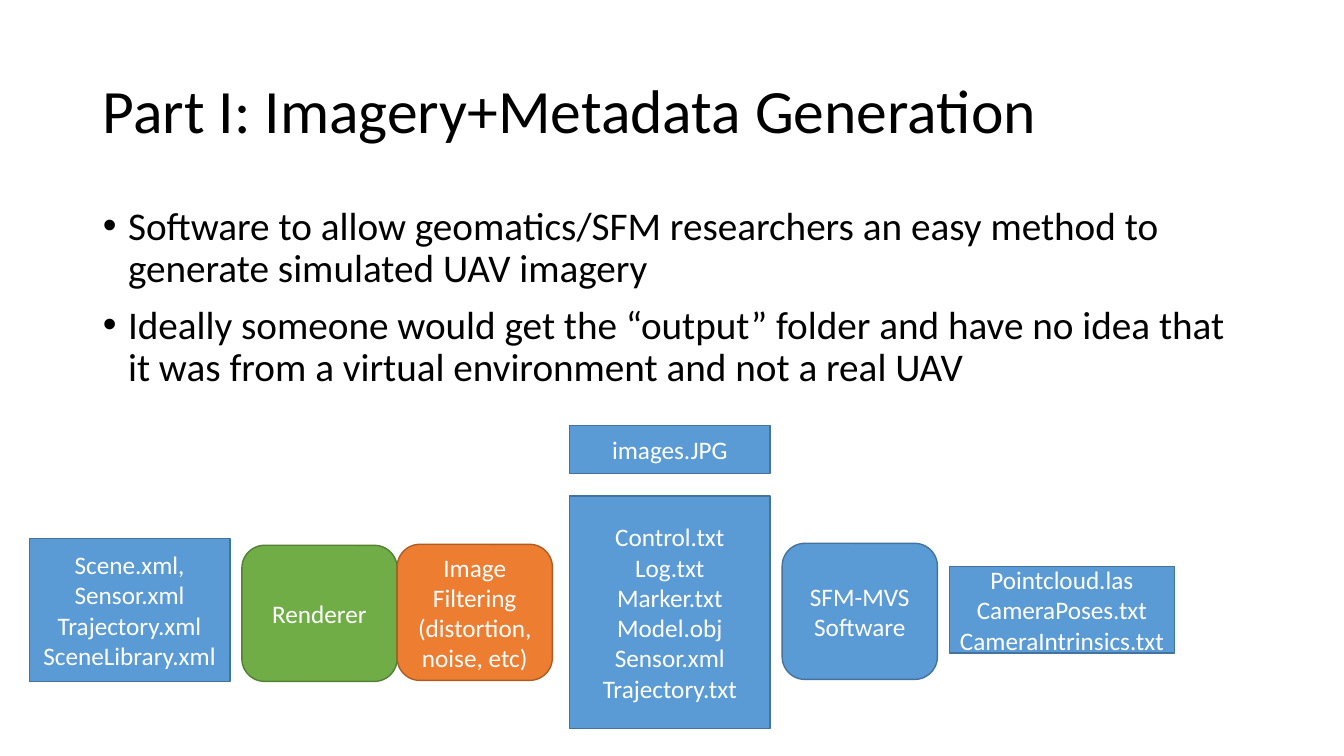
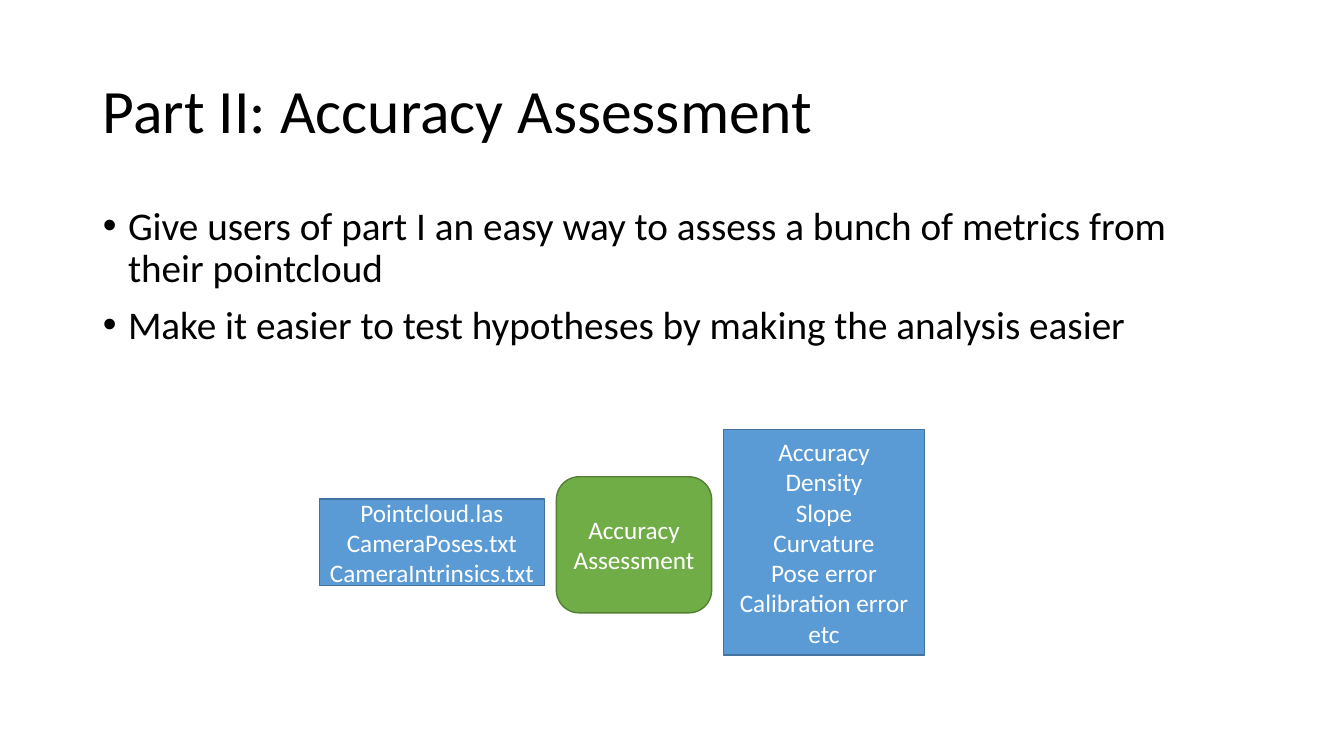
from pptx import Presentation
from pptx.dml.color import RGBColor
from pptx.enum.shapes import MSO_SHAPE
from pptx.enum.text import MSO_ANCHOR, MSO_AUTO_SIZE, PP_ALIGN
from pptx.util import Inches, Pt

FONT = "Calibri"
BLACK = RGBColor(0x00, 0x00, 0x00)
WHITE = RGBColor(0xFF, 0xFF, 0xFF)
# Each box style is a pair of fill and outline
BLUE = RGBColor(0x5B, 0x9B, 0xD5), RGBColor(0x43, 0x73, 0x9E)
GREEN = RGBColor(0x70, 0xAD, 0x47), RGBColor(0x53, 0x80, 0x35)
ORANGE = RGBColor(0xED, 0x7D, 0x31), RGBColor(0xAF, 0x5C, 0x24)

# Grid of square cells: ten columns or rows to the inch
COLUMNS, ROWS = 133.33, 75
FILE_WIDTH, RESULT_WIDTH = 19.9, 22.3
STEP_SIZE = 15.4, 13.5
GAP = 1.2


def cells(count):
    return Inches(count / 10)


def write(frame, text, size=18, color=WHITE, align=PP_ALIGN.CENTER,
          anchor=MSO_ANCHOR.MIDDLE, line_spacing=None, space_before=0, hanging=0):
    """Fill a text frame with one paragraph for each line of text."""
    frame.word_wrap = True
    frame.auto_size = MSO_AUTO_SIZE.NONE
    frame.vertical_anchor = anchor
    for index, line in enumerate(text.split("\n")):
        paragraph = frame.add_paragraph() if index else frame.paragraphs[0]
        paragraph.alignment = align
        paragraph.line_spacing = line_spacing
        paragraph.space_before = Pt(space_before if index else 0)
        if hanging:
            properties = paragraph._p.get_or_add_pPr()
            properties.set("marL", str(cells(hanging)))
            properties.set("indent", str(-cells(hanging)))
        run = paragraph.add_run()
        run.text = line
        run.font.name, run.font.size = FONT, Pt(size)
        run.font.color.rgb = color


class Deck:
    """Holds the shared style and the current slide."""

    def __init__(self):
        self.presentation = Presentation()
        self.presentation.slide_width = cells(COLUMNS)
        self.presentation.slide_height = cells(ROWS)
        self.slide = None

    def add_slide(self, title, points, body_height):
        layout = self.presentation.slide_layouts[1]
        self.slide = self.presentation.slides.add_slide(layout)
        heading, body = self.slide.placeholders
        self.place(heading, 9.2, 4, 115, 14.5)
        write(heading.text_frame, title, size=44, color=BLACK,
              align=PP_ALIGN.LEFT, line_spacing=0.9)
        self.place(body, 9.2, 20, 115, body_height)
        write(body.text_frame, points, size=28, color=BLACK, align=PP_ALIGN.LEFT,
              anchor=MSO_ANCHOR.TOP, line_spacing=0.9, space_before=10, hanging=2.5)

    def place(self, holder, left, top, width, height):
        holder.left, holder.top = cells(left), cells(top)
        holder.width, holder.height = cells(width), cells(height)

    def box(self, text, left, top, width, height, style=BLUE, kind=MSO_SHAPE.RECTANGLE):
        """Draw a box and return its right edge."""
        shape = self.slide.shapes.add_shape(
            kind, cells(left), cells(top), cells(width), cells(height))
        shape.shadow.inherit = False
        fill, outline = style
        shape.fill.solid()
        shape.fill.fore_color.rgb = fill
        shape.line.color.rgb, shape.line.width = outline, Pt(1)
        write(shape.text_frame, text)
        return left + width

    def step(self, text, left, top, style):
        """Draw a rounded processing step and return its right edge."""
        return self.box(text, left, top, *STEP_SIZE, style, MSO_SHAPE.ROUNDED_RECTANGLE)

    def results(self, left, top):
        """Draw the reconstruction files, which both parts share."""
        return self.box("Pointcloud.las\nCameraPoses.txt\nCameraIntrinsics.txt",
                        left, top, RESULT_WIDTH, 8.6)


def generation(deck):
    deck.add_slide(
        "Part I: Imagery+Metadata Generation",
        "Software to allow geomatics/SFM researchers an easy method to "
        "generate simulated UAV imagery\n"
        "Ideally someone would get the “output” folder and have no idea that "
        "it was from a virtual environment and not a real UAV", 25.6)
    # Inputs and rendering
    edge = deck.box("Scene.xml, Sensor.xml\nTrajectory.xml\nSceneLibrary.xml",
                    2.9, 53.4, FILE_WIDTH, 14.2)
    edge = deck.step("Renderer", edge + GAP, 54.1, GREEN)
    edge = deck.step("Image\nFiltering\n(distortion, noise, etc)", edge, 54, ORANGE)
    # Output folder: images above their metadata
    output_left = edge + 1.7
    deck.box("images.JPG", output_left, 42.2, FILE_WIDTH, 4.8)
    edge = deck.box("Control.txt\nLog.txt\nMarker.txt\nModel.obj\nSensor.xml\nTrajectory.txt",
                    output_left, 49.2, FILE_WIDTH, 23.1)
    # Reconstruction
    edge = deck.step("SFM-MVS\nSoftware", edge + GAP, 53.9, BLUE)
    deck.results(edge + GAP, 56.2)


def assessment(deck):
    deck.add_slide(
        "Part II: Accuracy Assessment",
        "Give users of part I an easy way to assess a bunch of metrics from "
        "their pointcloud\n"
        "Make it easier to test hypotheses by making the analysis easier", 47.6)
    # From reconstruction files to metrics
    edge = deck.results(31.7, 49.5)
    edge = deck.step("Accuracy Assessment", edge + GAP, 47.3, GREEN)
    deck.box("Accuracy\nDensity\nSlope\nCurvature\nPose error\nCalibration error\netc",
             edge + GAP, 42.6, FILE_WIDTH, 22.4)


def main():
    deck = Deck()
    generation(deck)
    assessment(deck)
    deck.presentation.save("out.pptx")


if __name__ == "__main__":
    main()
